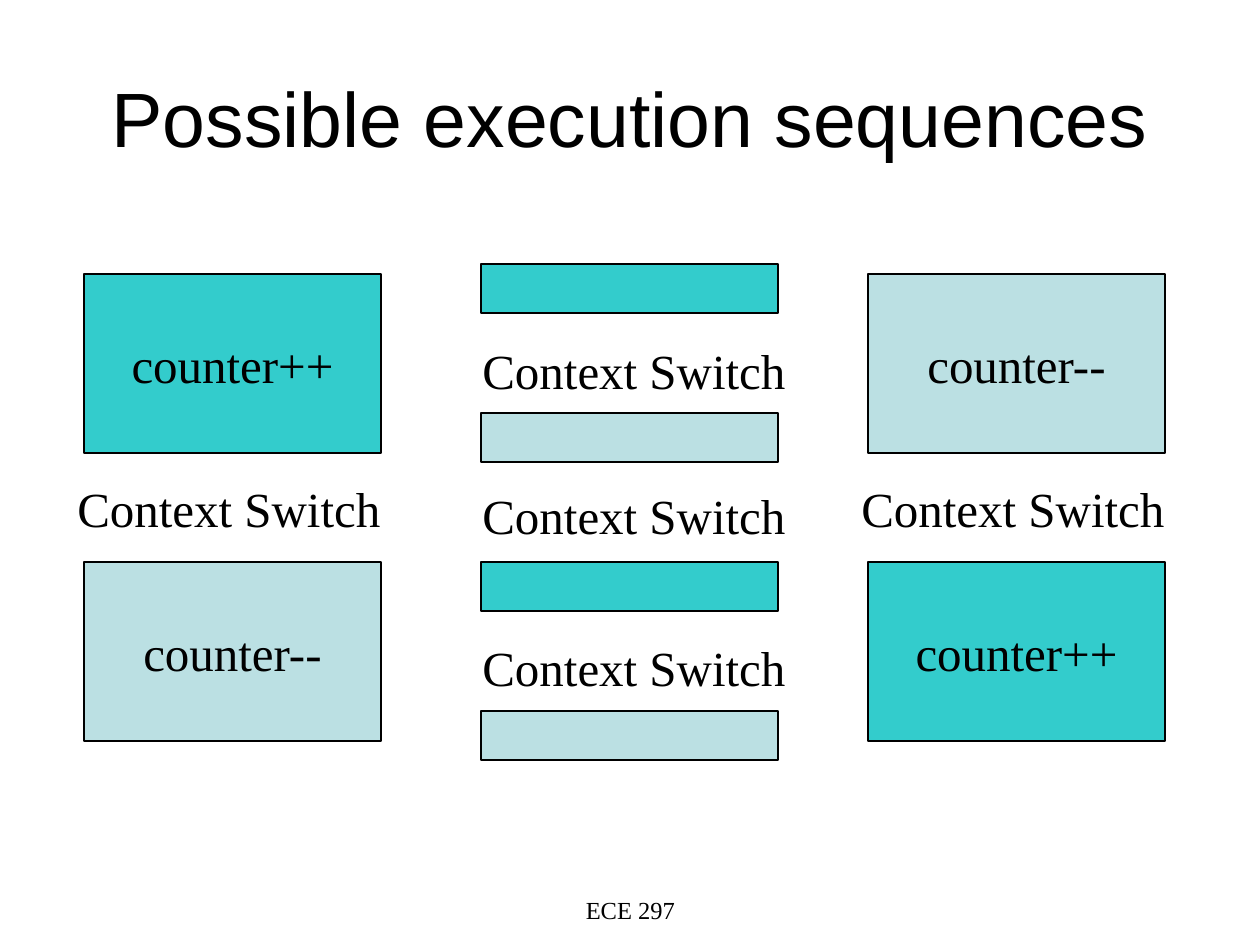
from typing import NamedTuple

from pptx import Presentation
from pptx.dml.color import RGBColor
from pptx.enum.shapes import MSO_SHAPE as Shape
from pptx.enum.text import MSO_ANCHOR as Anchor, MSO_AUTO_SIZE as Fit, PP_ALIGN as Align
from pptx.util import Emu, Pt

SCALE = 914400 / 126
TEAL, PALE, BLACK = "33CCCC", "BBE0E3", "000000"
SERIF = "Times New Roman"
SWITCH = "Context Switch"
WIDTH = 297


class Block(NamedTuple):
    left: int
    top: int
    high: int
    fill: str
    text: str = ""


class Label(NamedTuple):
    left: int
    top: int


def px(num: int) -> Emu:
    return Emu(round(num * SCALE))


def color(code: str) -> RGBColor:
    return RGBColor.from_string(code)


def write(frame, text: str, size: int, face: str = SERIF, align=Align.CENTER) -> None:
    frame.text = text
    line = frame.paragraphs[0]
    line.alignment = align
    line.font.size = Pt(size)
    line.font.name = face
    line.font.color.rgb = color(BLACK)


def draw_block(slide, block: Block) -> None:
    box = slide.shapes.add_shape(
        Shape.RECTANGLE, px(block.left), px(block.top), px(WIDTH), px(block.high))
    box.shadow.inherit = False
    box.fill.solid()
    box.fill.fore_color.rgb = color(block.fill)
    box.line.color.rgb = color(BLACK)
    box.line.width = Pt(0.75)
    if block.text:
        frame = box.text_frame
        frame.word_wrap = False
        frame.vertical_anchor = Anchor.MIDDLE
        write(frame, block.text, 28)


def draw_label(slide, label: Label) -> None:
    box = slide.shapes.add_textbox(px(label.left), px(label.top), px(328), px(72))
    frame = box.text_frame
    frame.word_wrap = False
    frame.auto_size = Fit.SHAPE_TO_FIT_TEXT
    write(frame, SWITCH, 28, align=Align.LEFT)


def draw_title(slide) -> None:
    title = slide.shapes.title
    title.left, title.top, title.width, title.height = map(px, (63, 38, 1134, 158))
    frame = title.text_frame
    frame.auto_size = Fit.NONE
    frame.vertical_anchor = Anchor.MIDDLE
    write(frame, "Possible execution sequences", 44, "Arial")


def draw_footer(slide) -> None:
    frame = slide.shapes.add_textbox(px(431), px(861), px(399), px(65)).text_frame
    frame.word_wrap = True
    frame.vertical_anchor = Anchor.BOTTOM
    frame.margin_bottom = px(2)
    write(frame, "ECE 297", 14)


def main() -> None:
    deck = Presentation()
    deck.slide_width, deck.slide_height = px(1260), px(945)
    slide = deck.slides.add_slide(deck.slide_layouts[5])
    draw_title(slide)
    draw_footer(slide)

    up, down = (TEAL, "counter++"), (PALE, "counter--")
    for left, order in ((84, (up, down)), (868, (down, up))):
        for top, (fill, text) in zip((274, 562), order):
            draw_block(slide, Block(left, top, 179, fill, text))
        draw_label(slide, Label(left - 19, 472))

    for row, fill in enumerate((TEAL, PALE) * 2):
        draw_block(slide, Block(481, 264 + 149 * row, 49, fill))
    for top in (334, 479, 631):
        draw_label(slide, Label(470, top))

    deck.save("out.pptx")


if __name__ == "__main__":
    main()
